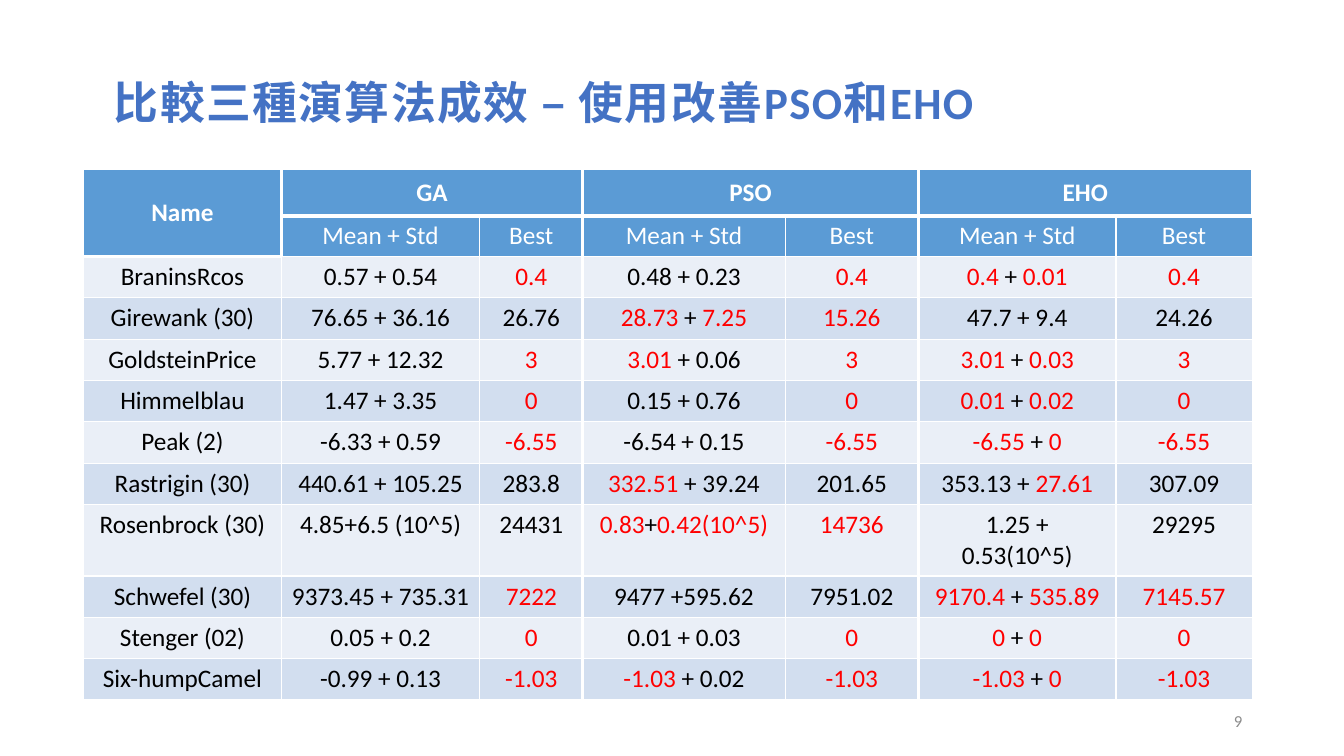
from dataclasses import dataclass

from lxml import etree
from pptx import Presentation
from pptx.dml.color import RGBColor
from pptx.enum.text import MSO_ANCHOR, MSO_AUTO_SIZE, PP_ALIGN
from pptx.oxml.ns import qn
from pptx.util import Inches, Pt

LEFT, CENTER, RIGHT = PP_ALIGN.LEFT, PP_ALIGN.CENTER, PP_ALIGN.RIGHT
TOP, MIDDLE = MSO_ANCHOR.TOP, MSO_ANCHOR.MIDDLE
TITLE_ONLY = 5

TITLE = "比較三種演算法成效 – 使用改善PSO和EHO"
PAGE_NUMBER = "9"
ALGORITHMS = ["GA", "PSO", "EHO"]
MEASURES = ["Mean + Std", "Best"]
# Winning values stand between asterisks.
RESULTS = [
    ("BraninsRcos", "0.57 + 0.54", "*0.4*", "0.48 + 0.23", "*0.4*", "*0.4* + *0.01*", "*0.4*"),
    ("Girewank (30)", "76.65 + 36.16", "26.76", "*28.73* + *7.25*", "*15.26*", "47.7 + 9.4", "24.26"),
    ("GoldsteinPrice", "5.77 + 12.32", "*3*", "*3.01* + 0.06", "*3*", "*3.01* + *0.03*", "*3*"),
    ("Himmelblau", "1.47 + 3.35", "*0*", "0.15 + 0.76", "*0*", "*0.01* + *0.02*", "*0*"),
    ("Peak (2)", "-6.33 + 0.59", "*-6.55*", "-6.54 + 0.15", "*-6.55*", "*-6.55* + *0*", "*-6.55*"),
    ("Rastrigin (30)", "440.61 + 105.25", "283.8", "*332.51* + 39.24", "201.65", "353.13 + *27.61*", "307.09"),
    ("Rosenbrock (30)", "4.85+6.5 (10^5)", "24431", "*0.83*+*0.42(10^5)*", "*14736*", "1.25 + 0.53(10^5)", "29295"),
    ("Schwefel (30)", "9373.45 + 735.31", "*7222*", "9477 +595.62", "7951.02", "*9170.4* + *535.89*", "*7145.57*"),
    ("Stenger (02)", "0.05 + 0.2", "*0*", "0.01 + 0.03", "*0*", "*0* + *0*", "*0*"),
    ("Six-humpCamel", "-0.99 + 0.13", "*-1.03*", "*-1.03* + 0.02", "*-1.03*", "*-1.03* + *0*", "*-1.03*"),
]

SLIDE_SIZE = (13.33, 7.5)
TITLE_BOX = (1.03, 0.69, 11.2, 0.64)
NUMBER_BOX = (9.42, 6.95, 3, 0.4)
TABLE_CORNER = (0.83, 1.68)
COLUMN_WIDTHS = [1.96, 1.97, 1.02, 2.01, 1.32, 1.96, 1.35]
HEADER_HEIGHTS = [0.46, 0.4]
RESULT_HEIGHT = 0.41


@dataclass(frozen=True)
class Theme:
    font: str = "Calibri"
    title: str = "4472C4"
    number: str = "8C8C8C"
    header: str = "5B9BD5"
    bands: tuple = ("EAEFF7", "D2DEEF")
    grid: str = "FFFFFF"
    header_text: str = "FFFFFF"
    text: str = "000000"
    winner: str = "FF0000"
    title_size: int = 32
    table_size: int = 18
    number_size: int = 12
    thin: float = 1
    group: float = 2.25
    header_rule: float = 3


THEME = Theme()


def add_run(paragraph, text, size, color, bold=False):
    run = paragraph.add_run()
    run.text = text
    run.font.name = THEME.font
    run.font.size = Pt(size)
    run.font.bold = bold
    run.font.color.rgb = RGBColor.from_string(color)
    return run


def prepare(frame, anchor, align):
    frame.word_wrap = True
    frame.auto_size = MSO_AUTO_SIZE.NONE
    frame.vertical_anchor = anchor
    paragraph = frame.paragraphs[0]
    paragraph.alignment = align
    return paragraph


def upright_width(row, edge):
    between_groups = edge in (3, 5) or (row == 0 and 0 < edge < len(COLUMN_WIDTHS))
    return THEME.group if between_groups else THEME.thin


def level_width(edge, column):
    return THEME.header_rule if edge == 1 or (edge, column) == (2, 0) else THEME.thin


def draw_borders(cell, row, column):
    widths = {
        "a:lnL": upright_width(row, column),
        "a:lnR": upright_width(row, column + 1),
        "a:lnT": level_width(row, column),
        "a:lnB": level_width(row + 1, column),
    }
    properties = cell._tc.get_or_add_tcPr()
    for side, width in widths.items():
        line = etree.SubElement(properties, qn(side), w=str(Pt(width)))
        fill = etree.SubElement(line, qn("a:solidFill"))
        etree.SubElement(fill, qn("a:srgbClr"), val=THEME.grid)


def add_title(slide):
    title = slide.shapes.title
    title.left, title.top, title.width, title.height = map(Inches, TITLE_BOX)
    paragraph = prepare(title.text_frame, TOP, LEFT)
    run = add_run(paragraph, TITLE, THEME.title_size, THEME.title, bold=True)
    run.font._element.set("spc", "100")


def add_page_number(slide):
    box = slide.shapes.add_textbox(*map(Inches, NUMBER_BOX))
    paragraph = prepare(box.text_frame, MIDDLE, RIGHT)
    add_run(paragraph, PAGE_NUMBER, THEME.number_size, THEME.number)


def add_results(slide):
    algorithm_row = ["Name"]
    for algorithm in ALGORITHMS:
        algorithm_row += [algorithm, ""]
    rows = [algorithm_row, ["", *MEASURES * len(ALGORITHMS)], *RESULTS]
    heights = HEADER_HEIGHTS + [RESULT_HEIGHT] * len(RESULTS)
    size = sum(COLUMN_WIDTHS), sum(heights)
    table = slide.shapes.add_table(
        len(rows), len(COLUMN_WIDTHS), *map(Inches, TABLE_CORNER + size)).table
    for column, width in zip(table.columns, COLUMN_WIDTHS):
        column.width = Inches(width)
    for table_row, height in zip(table.rows, heights):
        table_row.height = Inches(height)

    table.cell(0, 0).merge(table.cell(1, 0))
    for column in range(1, len(COLUMN_WIDTHS), len(MEASURES)):
        table.cell(0, column).merge(table.cell(0, column + 1))

    for r, values in enumerate(rows):
        in_header = r < len(HEADER_HEIGHTS)
        background = THEME.header if in_header else THEME.bands[r % 2]
        plain = THEME.header_text if in_header else THEME.text
        for c, value in enumerate(values):
            cell = table.cell(r, c)
            draw_borders(cell, r, c)
            cell.fill.solid()
            cell.fill.fore_color.rgb = RGBColor.from_string(background)
            cell.vertical_anchor = MIDDLE if in_header else TOP
            paragraph = cell.text_frame.paragraphs[0]
            paragraph.alignment = CENTER
            for i, part in enumerate(value.split("*")):
                if part:
                    color = THEME.winner if i % 2 else plain
                    add_run(paragraph, part, THEME.table_size, color, bold=r == 0)


def main():
    deck = Presentation()
    deck.slide_width, deck.slide_height = map(Inches, SLIDE_SIZE)
    slide = deck.slides.add_slide(deck.slide_layouts[TITLE_ONLY])
    add_title(slide)
    add_page_number(slide)
    add_results(slide)
    deck.save("out.pptx")


if __name__ == "__main__":
    main()
